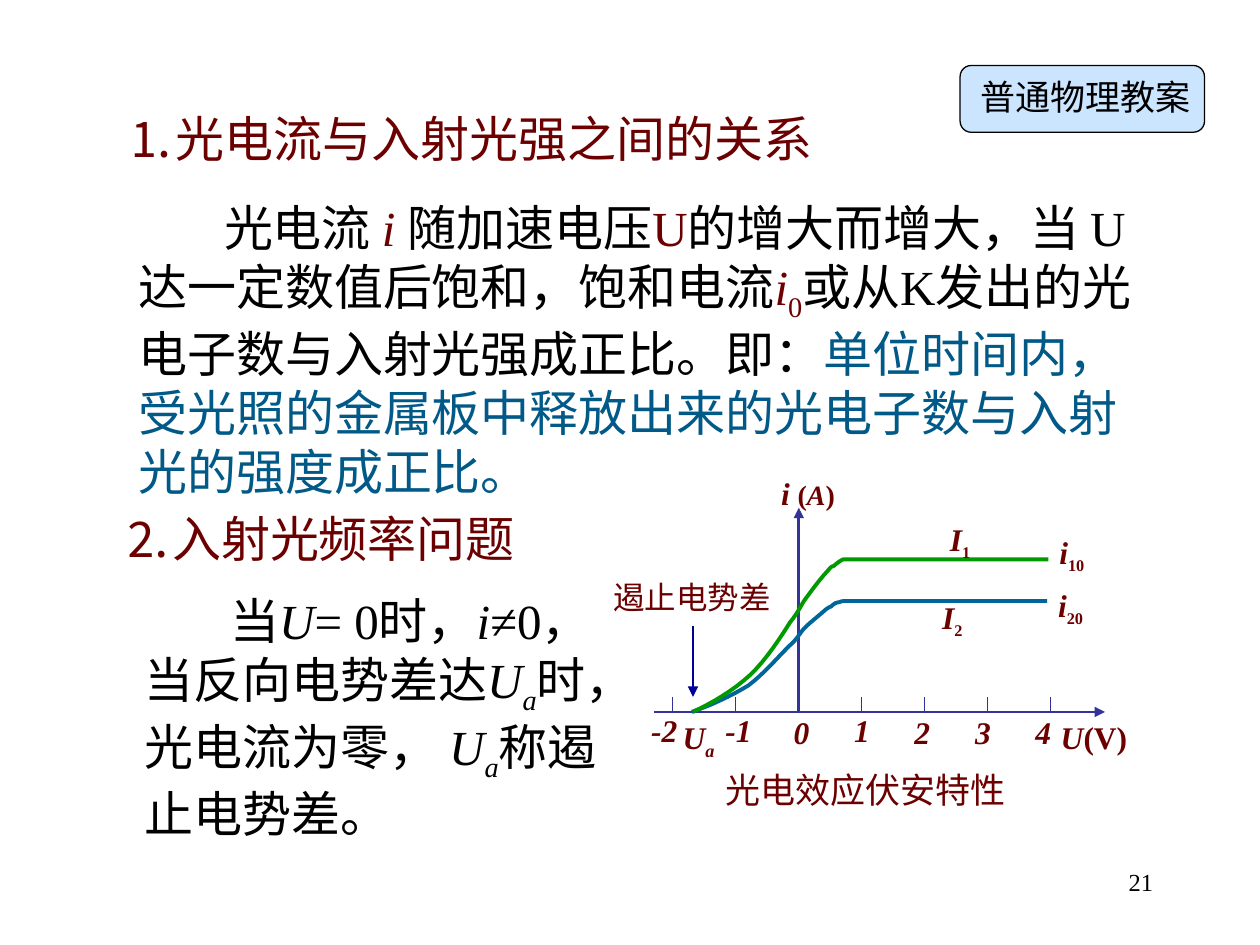
from pptx import Presentation
from pptx import util as u
from pptx.dml.color import RGBColor
from pptx.enum import shapes, text
from pptx.oxml import xmlchemy as xc

BLACK = RGBColor(0, 0, 0)
MAROON = RGBColor(0x6C, 0, 0)
TEAL = RGBColor(0, 0x59, 0x86)
AXIS = RGBColor(0x33, 0x33, 0x99)
NAVY = RGBColor(0, 0, 0x99)
BLUE = RGBColor(0, 0x66, 0x99)
GREEN = RGBColor(0, 0x99, 0)
SKY = RGBColor(0x99, 0xCC, 0xFF)
LATIN = "Times New Roman"
HAN = "Noto Sans CJK SC"


def add(node, tag, **attrs):
    kid = xc.OxmlElement(tag)
    for key, val in attrs.items():
        kid.set(key, val)
    node.append(kid)
    return kid


class Board:
    def __init__(self, slide, color, size):
        self.slide, self.color, self.size = slide, color, size

    def words(self, x, y, w, h, runs, size=None, color=None, align=None, indent=0, inset=(0.1, 0.05)):
        box = self.slide.shapes.add_textbox(*map(u.Inches, (x, y, w, h)))
        frame = box.text_frame
        frame.word_wrap = True
        frame.margin_left = frame.margin_right = u.Inches(inset[0])
        frame.margin_top = frame.margin_bottom = u.Inches(inset[1])
        para = frame.paragraphs[0]
        para.alignment = align
        if indent:
            para._p.get_or_add_pPr().set("indent", str(u.Inches(indent)))
        for words, *style in runs:
            self.run(para, words, size or self.size, color or self.color, *style)

    def run(self, para, words, size, color, marks="", tint=None, pts=None, face=LATIN):
        run = para.add_run()
        run.text = words
        font = run.font
        font.size = u.Pt(pts or size)
        font.bold, font.italic = "b" in marks, "i" in marks
        font.color.rgb = color if tint is None else tint
        font.name = face
        props = run._r.get_or_add_rPr()
        add(props, "a:ea", typeface=HAN)
        if "s" in marks:
            props.set("baseline", "-25000")

    def line(self, x1, y1, x2, y2, color, width, arrow=False):
        ends = map(u.Inches, (x1, y1, x2, y2))
        line = self.slide.shapes.add_connector(shapes.MSO_CONNECTOR.STRAIGHT, *ends)
        line.line.color.rgb = color
        line.line.width = u.Pt(width)
        if arrow:
            add(line.line._get_or_add_ln(), "a:tailEnd", type="triangle")
        add(line._element.spPr, "a:effectLst")

    def curve(self, start, bends, end, color):
        steps = 8
        dots, last = [], start
        for bend in bends:
            knots = (last, bend[:2], bend[2:4], bend[4:])
            for step in range(1, steps + 1):
                t = step / steps
                mix = ((1 - t) ** 3, 3 * t * (1 - t) ** 2, 3 * t * t * (1 - t), t ** 3)
                dots.append([u.Inches(sum(m * k[axis] for m, k in zip(mix, knots))) for axis in (0, 1)])
            last = bend[4:]
        dots.append([u.Inches(v) for v in end])
        form = self.slide.shapes.build_freeform(*map(u.Inches, start))
        form.add_line_segments(dots, close=False)
        shape = form.convert_to_shape()
        shape.shadow.inherit = False
        shape.fill.background()
        shape.line.color.rgb = color
        shape.line.width = u.Pt(2.25)

    def badge(self, x, y, w, h):
        shape = self.slide.shapes.add_shape(
            shapes.MSO_SHAPE.ROUNDED_RECTANGLE, *map(u.Inches, (x, y, w, h)))
        shape.shadow.inherit = False
        shape.fill.solid()
        shape.fill.fore_color.rgb = SKY
        tint = shape._element.spPr.find(".//{*}solidFill/{*}srgbClr")
        add(tint, "a:alpha", val="50000")
        shape.line.color.rgb = BLACK
        shape.line.width = u.Pt(0.75)


def main():
    deck = Presentation()
    deck.slide_width, deck.slide_height = u.Inches(10), u.Inches(7.5)
    board = Board(deck.slides.add_slide(deck.slide_layouts[6]), MAROON, 18)

    board.words(7.17, 6.83, 2.08, 0.5, [("21",)], 14, BLACK, text.PP_ALIGN.RIGHT)
    board.words(0.91, 0.81, 5.74, 0.57, [("⒈光电流与入射光强之间的关系",)], 28)
    board.words(1, 1.52, 8.09, 2.5, [
        ("光电流 ",), ("i ", "i", MAROON), ("随加速电压",), ("U", "", MAROON),
        ("的增大而增大，当 U达一定数值后饱和，饱和电流",),
        ("i", "i", MAROON), ("0", "s", MAROON),
        ("或从K发出的光电子数与入射光强成正比。即：",),
        ("单位时间内，受光照的金属板中释放出来的光电子数与入射光的强度成正比", "", TEAL, 28, HAN),
        ("。", "", TEAL)], 28, BLACK, indent=0.68)
    board.words(0.88, 3.99, 4.14, 0.57, [("⒉入射光频率问题",)], 28)
    board.words(1.05, 4.64, 3.84, 2.1, [
        ("当",), ("U", "i"), ("= 0时，",), ("i", "i"), ("≠0，当反向电势差达",),
        ("U", "i"), ("a", "is"), ("时，光电流为零， ",),
        ("U", "i"), ("a", "is"), ("称遏止电势差。",)], 28, BLACK, indent=0.68)

    board.line(6.34, 5.66, 6.34, 4.03, AXIS, 1.5, True)
    board.line(5.19, 5.65, 8.77, 5.65, AXIS, 1.5, True)
    for volt in (-2, -1, 1, 2, 3, 4):
        x = 6.34 + volt / 2
        board.line(x, 5.53, x, 5.66, AXIS, 0.75)
    board.curve((5.49, 5.65), [
        (5.64, 5.6, 5.81, 5.52, 5.94, 5.44), (6.06, 5.35, 6.18, 5.21, 6.26, 5.13),
        (6.34, 5.06, 6.34, 5.03, 6.39, 4.98), (6.44, 4.93, 6.52, 4.87, 6.55, 4.84),
        (6.59, 4.81, 6.59, 4.82, 6.6, 4.81), (6.62, 4.79, 6.64, 4.78, 6.66, 4.78),
        (6.68, 4.77, 6.69, 4.77, 6.73, 4.77)], (8.31, 4.77), BLUE)
    board.curve((5.5, 5.65), [
        (5.65, 5.58, 5.82, 5.48, 5.95, 5.36), (6.08, 5.24, 6.2, 5.05, 6.27, 4.94),
        (6.35, 4.84, 6.36, 4.79, 6.41, 4.73), (6.46, 4.66, 6.53, 4.57, 6.57, 4.53),
        (6.6, 4.49, 6.6, 4.5, 6.62, 4.49), (6.64, 4.47, 6.67, 4.45, 6.69, 4.44),
        (6.71, 4.44, 6.71, 4.44, 6.74, 4.44)], (8.32, 4.44), GREEN)
    board.line(5.5, 4.97, 5.5, 5.53, NAVY, 1.5, True)

    board.words(4.77, 4.54, 1.86, 0.4, [("遏止电势差",)])
    board.words(6.1, 3.71, 1.11, 0.4, [
        ("i ", "bi"), ("(", "b", None, 16), ("A", "bi", None, 16), (")", "b", None, 16)])
    board.words(8.32, 5.65, 1.11, 0.4, [("U", "bi"), ("(V)", "b")])
    for x, y, w, sign, sub in (
            (7.44, 4.08, 0.47, "I", "1"), (7.38, 4.7, 0.53, "I", "2"),
            (8.3, 4.6, 0.53, "i", "20"), (8.31, 4.18, 0.47, "i", "10")):
        board.words(x, y, w, 0.43, [(sign, "bi"), (sub, "bs", None, 16)])
    board.words(5.32, 5.65, 0.57, 0.44, [("U", "bi"), ("a", "bis")])
    for volt, x in ((-2, 5.07), (-1, 5.66)):
        board.words(x, 5.59, 0.44, 0.4, [(str(volt), "bi")])
    for volt in range(5):
        y = 5.59 if volt == 1 else 5.61
        board.words(6.2 + 0.48 * volt, y, 0.57, 0.4, [(str(volt), "bi")])
    board.words(5.66, 6.05, 2.87, 0.44, [("光电效应伏安特性",)], 20)

    board.badge(7.62, 0.52, 1.94, 0.53)
    board.words(7.78, 0.6, 1.94, 0.39, [("普通物理教案",)], 20, BLACK,
                text.PP_ALIGN.JUSTIFY, inset=(0, 0))
    deck.save("out.pptx")


if __name__ == "__main__":
    main()
